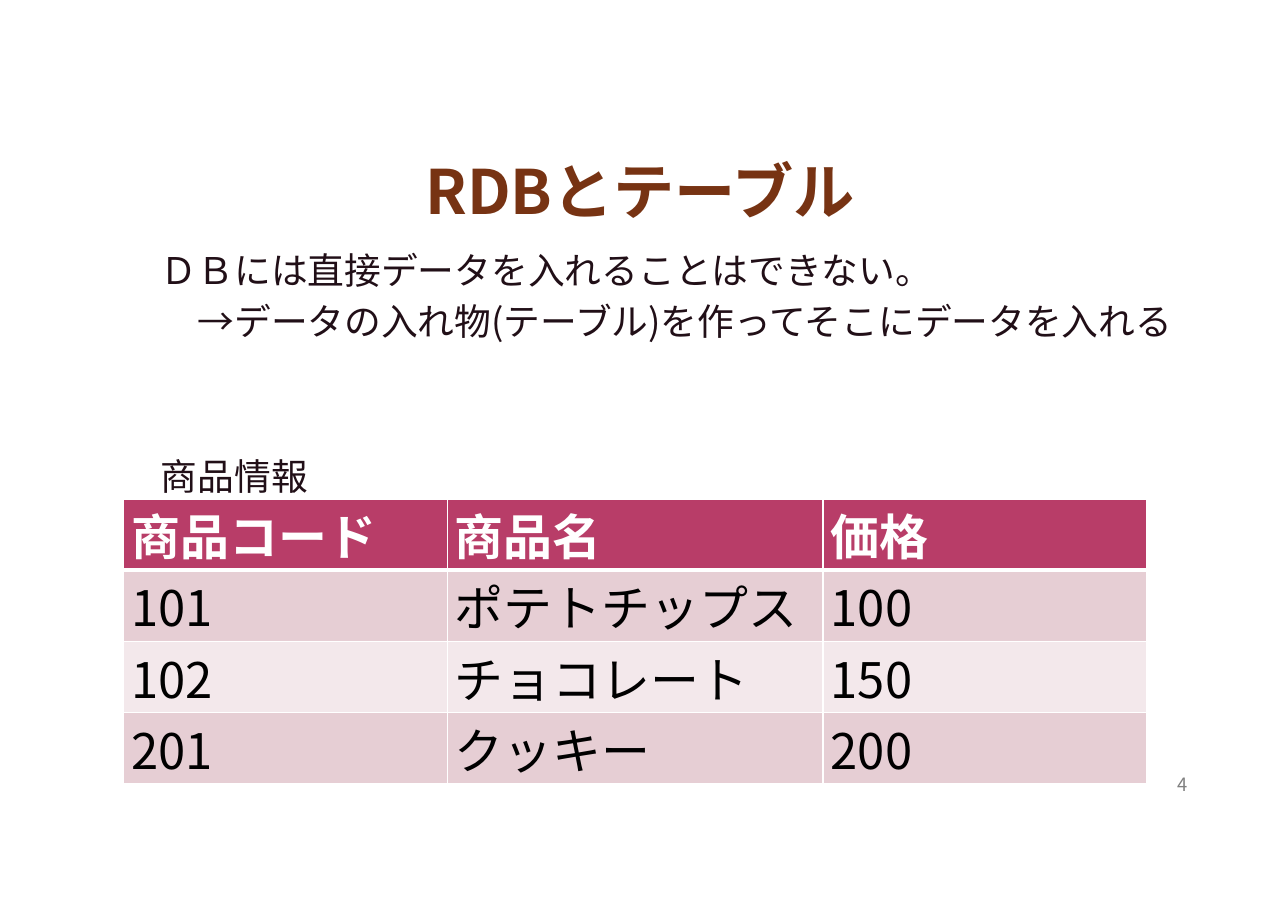
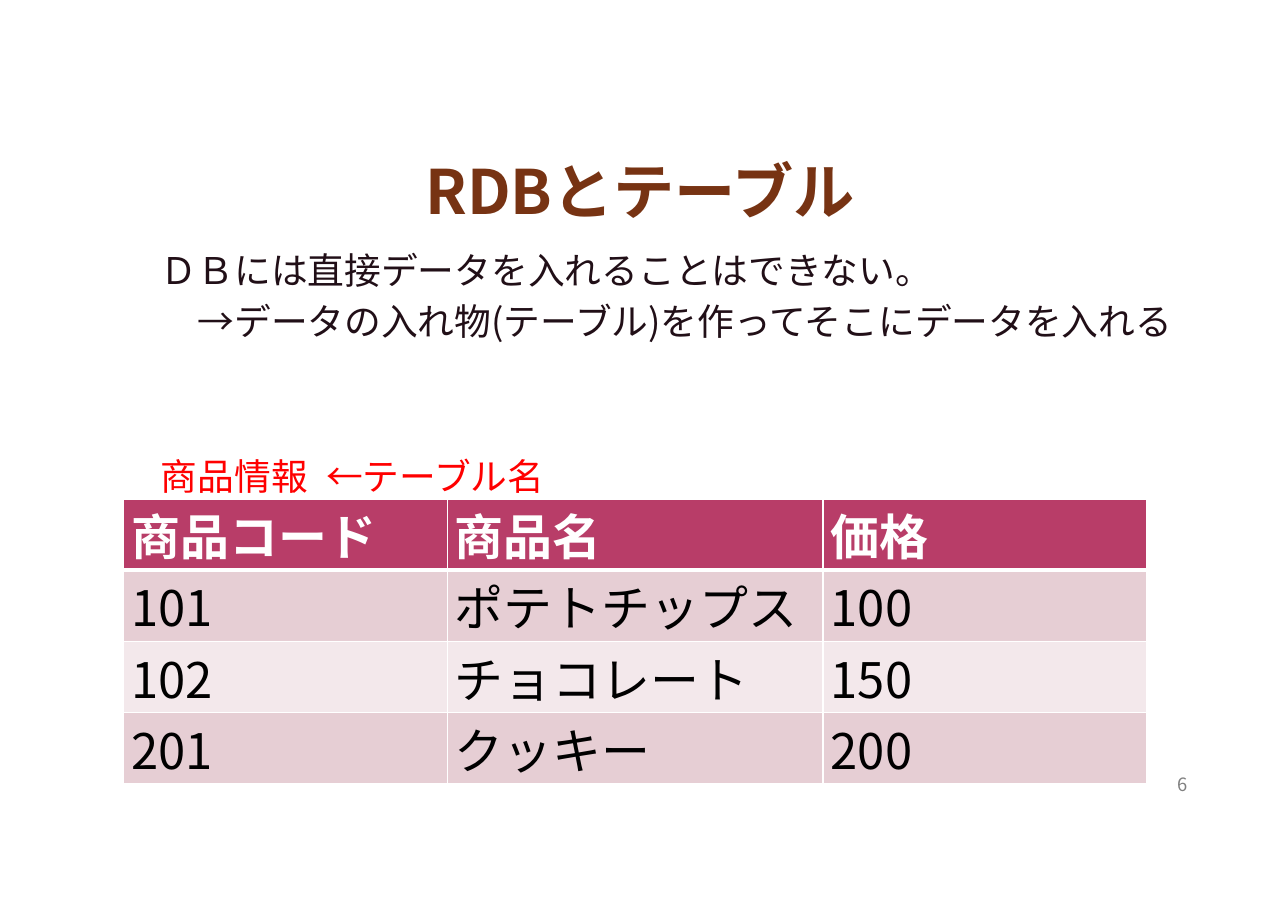
from lxml import etree
from pptx import Presentation
from pptx.dml.color import RGBColor
from pptx.enum import text
from pptx.oxml import ns
from pptx.util import Pt

PX = 9144
FONT = "Noto Sans CJK JP"
BROWN = RGBColor(0x77, 0x33, 0x13)
INK = RGBColor(0x21, 0x0F, 0x17)
RED = RGBColor(0xFF, 0x00, 0x00)
GRAY = RGBColor(0x80, 0x80, 0x80)
WHITE = RGBColor(0xFF, 0xFF, 0xFF)
BLACK = RGBColor(0x00, 0x00, 0x00)
HEADER = RGBColor(0xB8, 0x3D, 0x68)
BANDS = [RGBColor(0xF3, 0xE8, 0xEB), RGBColor(0xE6, 0xCE, 0xD4)]

TITLE_BOX = (89, 151, 984, 49)
BODY_BOX = (136, 217, 1034, 520)
TABLE_BOX = (112, 453, 929, 240)
PAGE_BOX = (826, 694, 263, 35)

COLUMNS = [294, 341, 294]
PRODUCTS = [
    ("商品コード", "商品名", "価格"),
    ("101", "ポテトチップス", "100"),
    ("102", "チョコレート", "150"),
    ("201", "クッキー", "200"),
]
LINE = 28.65
GAP = 5


def px(*lengths):
    return [n * PX for n in lengths]


def write(p, content, size=24, color=INK, bold=False, align=None, before=0, line=None):
    p.alignment = align
    p.space_before = Pt(before)
    p.space_after = Pt(0)
    if line:
        p.line_spacing = Pt(line)
    r = p.add_run()
    r.text = content
    f = r.font
    f.name, f.size, f.bold = FONT, Pt(size), bold
    f.color.rgb = color
    etree.SubElement(r._r.get_or_add_rPr(), ns.qn("a:ea"), typeface=FONT)


def frame(sp, box, anchor, margins):
    sp.left, sp.top, sp.width, sp.height = px(*box)
    tf = sp.text_frame
    tf.word_wrap = True
    tf.auto_size = text.MSO_AUTO_SIZE.NONE
    tf.vertical_anchor = anchor
    tf.margin_left, tf.margin_top, tf.margin_right, tf.margin_bottom = px(*margins)
    return tf


def add_title(s, box, content):
    tf = frame(s.shapes.title, box, text.MSO_ANCHOR.TOP, (0, 6, 0, 0))
    write(tf.paragraphs[0], content, size=40, color=BROWN, bold=True,
          align=text.PP_ALIGN.CENTER, line=35)


def add_body(s, box, caption, color):
    tf = frame(s.placeholders[1], box, text.MSO_ANCHOR.TOP, (10, 8, 10, 5))
    lines = [
        ("ＤＢには直接データを入れることはできない。", 0, 0, INK),
        ("→データの入れ物(テーブル)を作ってそこにデータを入れる", 24, GAP, INK),
        (caption, 0, 2 * LINE + 3 * GAP, color),
    ]
    for i, (content, indent, before, ink) in enumerate(lines):
        p = tf.add_paragraph() if i else tf.paragraphs[0]
        write(p, content, color=ink, align=text.PP_ALIGN.LEFT, before=before, line=LINE)
        pPr = p._p.get_or_add_pPr()
        pPr.set("marL", str(Pt(indent)))
        pPr.set("indent", "0")
        etree.SubElement(pPr, ns.qn("a:buNone"))
        if "\t" in content:
            tabs = etree.SubElement(pPr, ns.qn("a:tabLst"))
            etree.SubElement(tabs, ns.qn("a:tab"), pos=str(Pt(11 * 24)), algn="l")


def set_borders(cell, **widths):
    tcPr = cell._tc.get_or_add_tcPr()
    for side in "LRTB":
        ln = etree.SubElement(tcPr, ns.qn("a:ln" + side), w=str(Pt(widths.get(side, 1))))
        fill = etree.SubElement(ln, ns.qn("a:solidFill"))
        etree.SubElement(fill, ns.qn("a:srgbClr"), val=str(WHITE))


def add_products(s, box):
    table = s.shapes.add_table(len(PRODUCTS), len(COLUMNS), *px(*box)).table
    table.first_row = table.horz_banding = False
    for column, width in zip(table.columns, COLUMNS):
        column.width = width * PX
    for i, record in enumerate(PRODUCTS):
        head = i == 0
        table.rows[i].height = box[3] * PX // len(PRODUCTS)
        for j, content in enumerate(record):
            cell = table.cell(i, j)
            cell.margin_left = cell.margin_right = 7 * PX
            cell.margin_top = cell.margin_bottom = 0
            set_borders(cell, T=3 if i == 1 else 1, B=3 if head else 1)
            cell.fill.solid()
            cell.fill.fore_color.rgb = HEADER if head else BANDS[i % 2]
            write(cell.text_frame.paragraphs[0], content, size=32, bold=head,
                  color=WHITE if head else BLACK, align=text.PP_ALIGN.JUSTIFY)


def add_page_number(s, box, number):
    tf = frame(s.shapes.add_textbox(*px(*box)), box, text.MSO_ANCHOR.MIDDLE, (11, 6, 11, 6))
    write(tf.paragraphs[0], str(number), size=12, color=GRAY, align=text.PP_ALIGN.RIGHT)


def add_table_slide(prs, caption, color, number):
    s = prs.slides.add_slide(prs.slide_layouts[1])
    add_title(s, TITLE_BOX, "RDBとテーブル")
    add_body(s, BODY_BOX, caption, color)
    add_products(s, TABLE_BOX)
    add_page_number(s, PAGE_BOX, number)


def main():
    prs = Presentation()
    prs.slide_width, prs.slide_height = px(1169, 827)
    add_table_slide(prs, "商品情報", INK, 4)
    add_table_slide(prs, "商品情報\t←テーブル名", RED, 6)
    prs.save("out.pptx")


if __name__ == "__main__":
    main()
